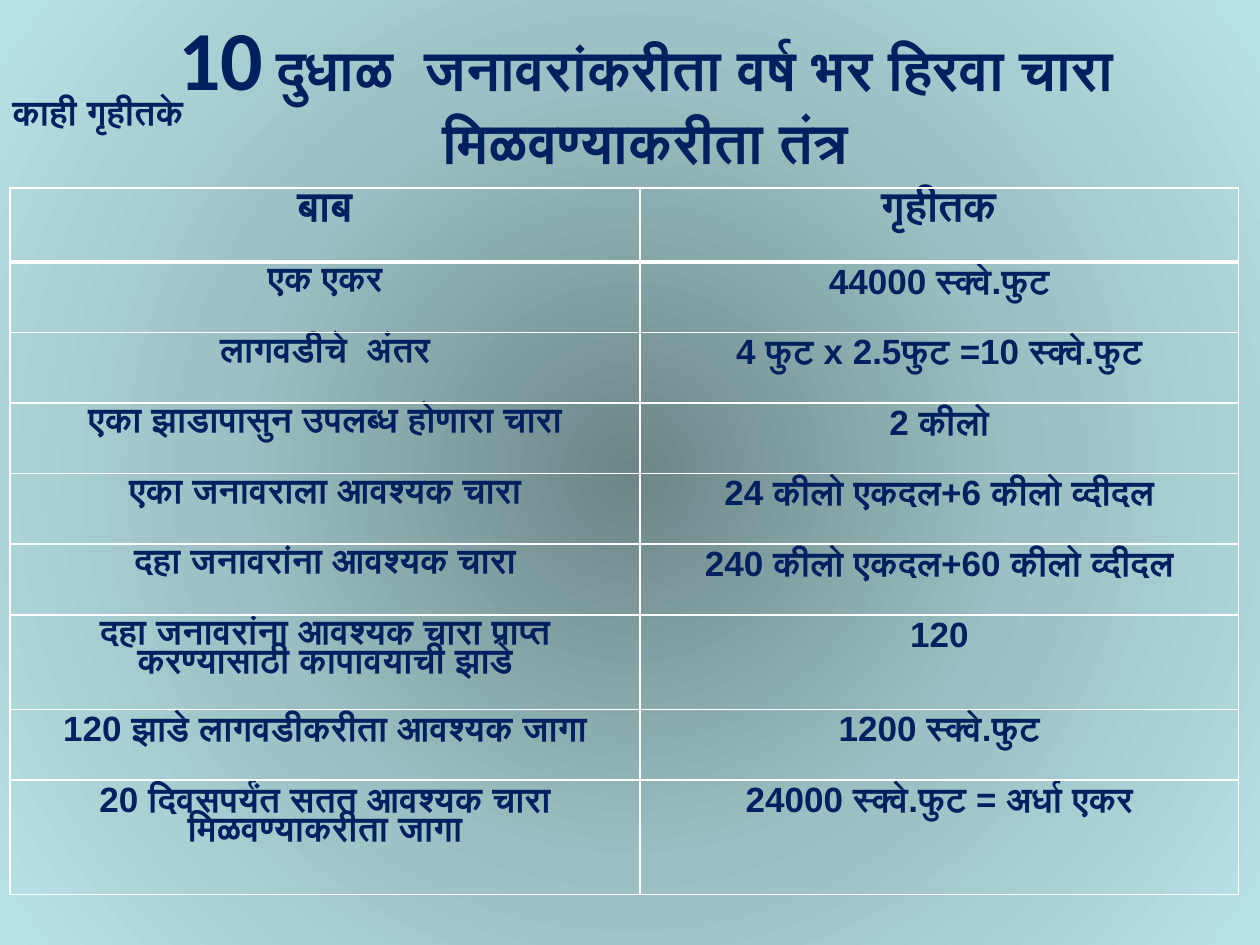
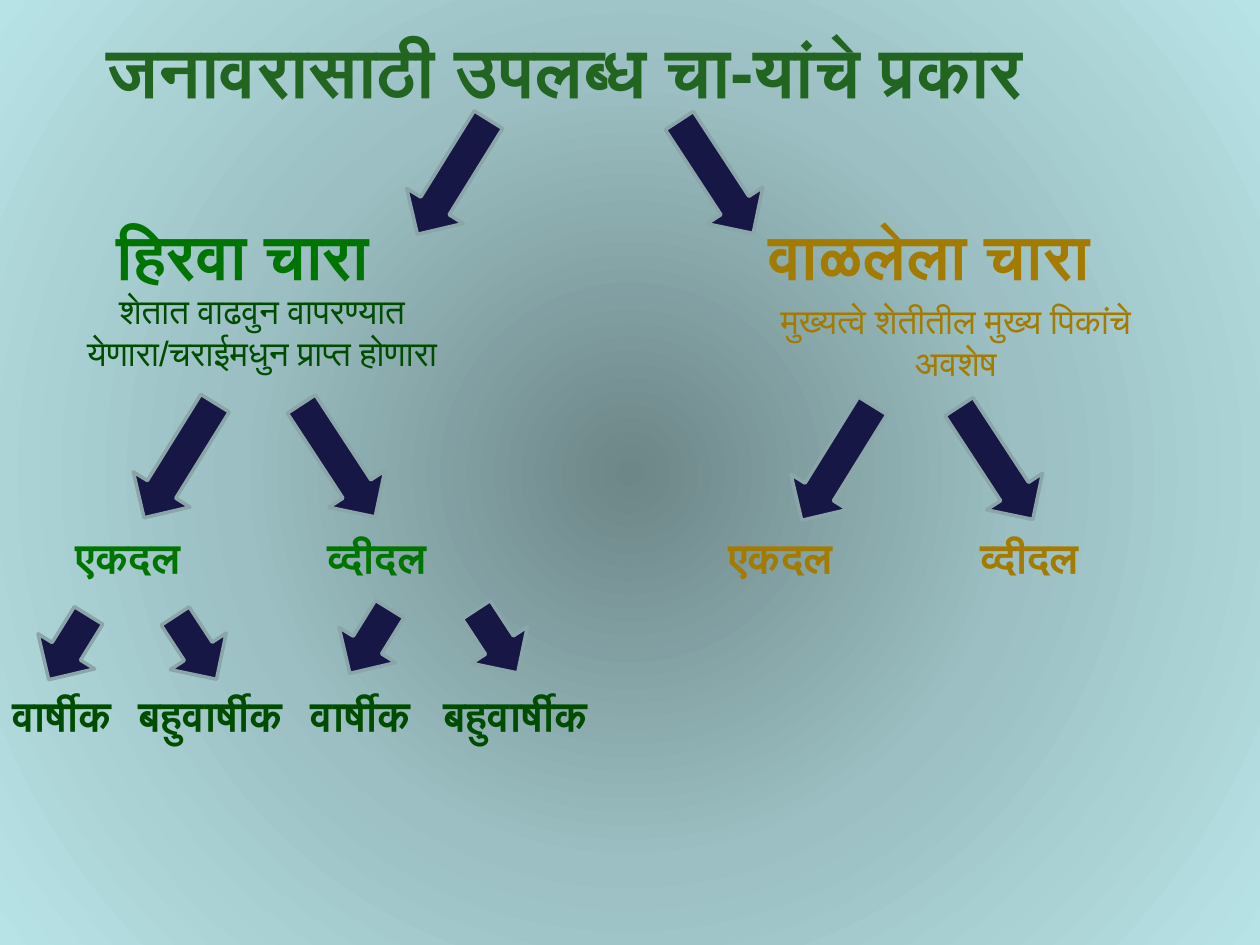
from dataclasses import dataclass

from lxml.etree import SubElement
from pptx import Presentation
from pptx.dml.color import RGBColor
from pptx.enum.shapes import MSO_SHAPE
from pptx.enum.text import MSO_AUTO_SIZE, PP_ALIGN
from pptx.oxml import parse_xml
from pptx.oxml.ns import nsdecls, qn
from pptx.util import Inches, Pt


@dataclass(frozen=True)
class Theme:
    # Colours
    navy: str = "002060"
    heading_green: str = "216521"
    green: str = "007400"
    dark_green: str = "004C00"
    straw: str = "A27B00"
    arrow_fill: str = "171745"
    arrow_line: str = "8AA6A8"
    border: str = "FFFFFF"
    backdrop: tuple = ((0, "6D8688"), (50, "9BBFC2"), (100, "B8E3E6"))
    # Type
    font: str = "Arial"
    title_font: str = "Calibri"
    number_size: int = 48
    heading_size: int = 40
    branch_size: int = 36
    title_size: int = 32
    label_size: int = 24
    body_size: int = 20
    table_spacing: float = 0.83


THEME = Theme()


def write_text(para, text, size, color, bold=True, font=THEME.font, align=None):
    """Add one formatted span to a paragraph."""
    span = para.add_run()
    span.text = text
    span.font.size = Pt(size)
    span.font.bold = bold
    span.font.name = font
    span.font.color.rgb = RGBColor.from_string(color)
    if align is not None:
        para.alignment = align


class SlideBuilder:
    def __init__(self, deck, theme):
        self.deck = deck
        self.theme = theme
        self.page = None

    def new_page(self):
        self.page = self.deck.slides.add_slide(self.deck.slide_layouts[6])
        stops = "".join(
            f'<a:gs pos="{position * 1000}"><a:srgbClr val="{color}"/></a:gs>'
            for position, color in self.theme.backdrop
        )
        background = parse_xml(
            f'<p:bg {nsdecls("p", "a")}><p:bgPr><a:gradFill rotWithShape="1">'
            f"<a:gsLst>{stops}</a:gsLst>"
            '<a:path path="circle"><a:fillToRect l="50000" t="50000" r="50000" b="50000"/>'
            "</a:path></a:gradFill><a:effectLst/></p:bgPr></p:bg>"
        )
        self.page.element.cSld.insert(0, background)

    def text_box(self, left, top, width, height, wrap=True):
        """Add a text box and return its first paragraph."""
        box = self.page.shapes.add_textbox(
            Inches(left), Inches(top), Inches(width), Inches(height))
        box.text_frame.word_wrap = wrap
        box.text_frame.auto_size = MSO_AUTO_SIZE.SHAPE_TO_FIT_TEXT
        return box.text_frame.paragraphs[0]

    def label(self, text, left, top, width, height=0.5, wrap=False, **style):
        write_text(self.text_box(left, top, width, height, wrap), text, **style)

    def arrow(self, left, top, height, rotation):
        arrow = self.page.shapes.add_shape(
            MSO_SHAPE.DOWN_ARROW, Inches(left), Inches(top), Inches(0.53), Inches(height))
        arrow.rotation = rotation
        arrow.shadow.inherit = False
        arrow.fill.solid()
        arrow.fill.fore_color.rgb = RGBColor.from_string(self.theme.arrow_fill)
        arrow.line.color.rgb = RGBColor.from_string(self.theme.arrow_line)
        arrow.line.width = Pt(2)

    def fork(self, left, top, spread, height):
        """Add two arrows that point down and apart."""
        self.arrow(left, top, height, 31.8)
        self.arrow(left + spread, top, height, 326.8)

    def cell_borders(self, cell, bottom):
        properties = cell._tc.get_or_add_tcPr()
        widths = {"a:lnL": 1, "a:lnR": 1, "a:lnT": 1, "a:lnB": bottom}
        for index, (side, width) in enumerate(widths.items()):
            line = SubElement(properties, qn(side), w=str(Pt(width)))
            fill = SubElement(line, qn("a:solidFill"))
            SubElement(fill, qn("a:srgbClr"), val=self.theme.border)
            properties.insert(index, line)

    def table(self, rows, left, top, column_widths, row_heights):
        frame = self.page.shapes.add_table(
            len(rows), len(column_widths), Inches(left), Inches(top),
            Inches(sum(column_widths)), Inches(sum(row_heights)))
        table = frame.table
        table.first_row = table.horz_banding = False
        for column, width in zip(table.columns, column_widths):
            column.width = Inches(width)
        for row_index, (texts, height) in enumerate(zip(rows, row_heights)):
            table.rows[row_index].height = Inches(height)
            is_header = row_index == 0
            size = self.theme.label_size if is_header else self.theme.body_size
            for column_index, text in enumerate(texts):
                cell = table.cell(row_index, column_index)
                cell.fill.background()
                # The rule under the header is shared with the first body row
                self.cell_borders(cell, bottom=3 if is_header else 1)
                para = cell.text_frame.paragraphs[0]
                para.line_spacing = self.theme.table_spacing
                write_text(para, text, size=size, color=self.theme.navy,
                           align=PP_ALIGN.CENTER)


def build_assumptions(builder):
    theme = builder.theme
    builder.new_page()

    # Title and side note
    title = builder.text_box(0.25, 0, 9.75, 1.75)
    title_style = dict(color=theme.navy, font=theme.title_font, align=PP_ALIGN.CENTER)
    write_text(title, "10", size=theme.number_size, **title_style)
    write_text(title, " दुधाळ  जनावरांकरीता वर्ष भर हिरवा चारा मिळवण्याकरीता तंत्र",
               size=theme.title_size, **title_style)
    builder.label("काही गृहीतके", 0, 0.67, 2.33, 0.44, wrap=True,
                  size=theme.body_size, color=theme.navy)

    # Assumptions table
    rows = [
        ("बाब", "गृहीतक"),
        ("एक एकर", "44000 स्क्वे.फुट"),
        ("लागवडीचे  अंतर", "4 फुट x 2.5फुट =10 स्क्वे.फुट"),
        ("एका झाडापासुन उपलब्ध होणारा चारा", "2 कीलो"),
        ("एका जनावराला आवश्यक चारा", "24 कीलो एकदल+6 कीलो व्दीदल"),
        ("दहा जनावरांना आवश्यक चारा", "240 कीलो एकदल+60 कीलो व्दीदल"),
        ("दहा जनावरांना आवश्यक चारा प्राप्त करण्यासाठी कापावयाची झाडे", "120"),
        ("120 झाडे लागवडीकरीता आवश्यक जागा", "1200 स्क्वे.फुट"),
        ("20 दिवसपर्यंत सतत आवश्यक चारा मिळवण्याकरीता जागा",
         "24000 स्क्वे.फुट = अर्धा एकर"),
    ]
    builder.table(rows, 0.08, 1.49, column_widths=(5, 4.75),
                  row_heights=[0.59] + [0.56] * 5 + [0.75, 0.56, 0.91])


def build_fodder_types(builder):
    theme = builder.theme
    builder.new_page()
    builder.label("जनावरासाठी उपलब्ध चा-यांचे प्रकार", 0.75, 0.17, 7.97, 0.77,
                  size=theme.heading_size, color=theme.heading_green)

    # Two branches: green and dry fodder
    branches = [
        ("हिरवा चारा", 0.83, 2.33, theme.green),
        ("वाळलेला चारा", 6, 2.89, theme.straw),
    ]
    for text, left, width, color in branches:
        builder.label(text, left, 1.67, width, 0.71, size=theme.branch_size, color=color)

    descriptions = [
        ("शेतात वाढवुन वापरण्यात येणारा/चराईमधुन प्राप्त होणारा",
         0.58, 2.25, 3, 1.11, theme.dark_green),
        ("मुख्यत्वे शेतीतील मुख्य पिकांचे अवशेष", 6, 2.33, 3.17, 0.77, theme.straw),
    ]
    for text, left, top, width, height, color in descriptions:
        builder.label(text, left, top, width, height, wrap=True, size=theme.body_size,
                      color=color, bold=False, align=PP_ALIGN.CENTER)

    # Arrows: left, top, spread, height
    forks = [
        (3.33, 0.87, 2.09, 1.07),
        (1.16, 3.12, 1.26, 1.07),
        (6.38, 3.14, 1.26, 1.07),
        (0.28, 4.84, 1.01, 0.6),
        (2.67, 4.79, 1.01, 0.6),
    ]
    for fork in forks:
        builder.fork(*fork)

    # Monocot and dicot under each branch
    for left, color in ((0.5, theme.green), (5.68, theme.straw)):
        for text, offset, width in (("एकदल", 0, 1.1), ("व्दीदल", 2, 1.07)):
            builder.label(text, left + offset, 4.17, width,
                          size=theme.label_size, color=color)

    # Annual and perennial under each green type
    life_spans = [("वार्षीक", 0, 1.04), ("बहुवार्षीक", 1, 1.43),
                  ("वार्षीक", 2.37, 1.04), ("बहुवार्षीक", 3.42, 1.43)]
    for text, left, width in life_spans:
        builder.label(text, left, 5.42, width,
                      size=theme.label_size, color=theme.dark_green)


def main():
    deck = Presentation()
    deck.slide_width = Inches(10)
    deck.slide_height = Inches(7.5)
    builder = SlideBuilder(deck, THEME)
    build_assumptions(builder)
    build_fodder_types(builder)
    deck.save("out.pptx")


if __name__ == "__main__":
    main()
